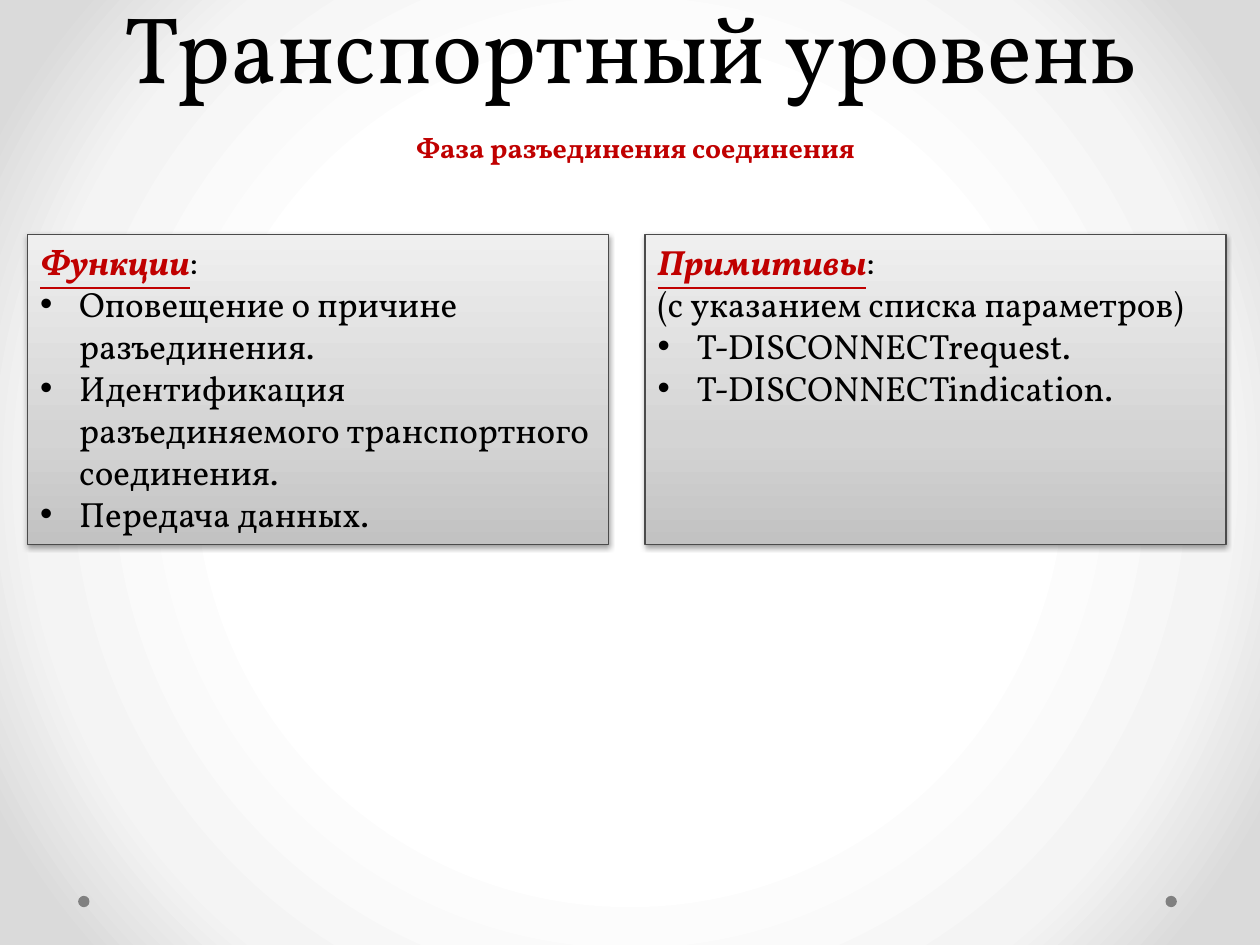
import dataclasses

import lxml.etree
import pptx
import pptx.dml.color
import pptx.enum.shapes
import pptx.enum.text
import pptx.oxml.ns
import pptx.util

RGB = pptx.dml.color.RGBColor
ALIGN = pptx.enum.text.PP_ALIGN
SHAPE = pptx.enum.shapes.MSO_SHAPE
qn = pptx.oxml.ns.qn

BLACK = RGB(0x00, 0x00, 0x00)
RED = RGB(0xC0, 0x00, 0x00)
DOT_GRAY = RGB(0x80, 0x80, 0x80)
EDGE_GRAY = RGB(0x4B, 0x4B, 0x4B)
PAGE_STOPS = ((50, RGB(0xFF, 0xFF, 0xFF)), (76, RGB(0xF4, 0xF4, 0xF4)), (92, RGB(0xDA, 0xDA, 0xDA)))
PANEL_STOPS = ((0, RGB(0xC2, 0xC2, 0xC2)), (35, RGB(0xD4, 0xD4, 0xD4)), (100, RGB(0xEF, 0xEF, 0xEF)))

FONT = "Vollkorn"
WIDTH, HEIGHT = pptx.util.Inches(10), pptx.util.Inches(7.5)
COLUMNS = ROWS = 100
INDENT = pptx.util.Inches(0.31)


@dataclasses.dataclass(frozen=True)
class Area:
    """Place and size in grid columns and rows."""

    col: float
    row: float
    cols: float
    rows: float

    def box(self) -> tuple[int, int, int, int]:
        """Return left, top, width and height as lengths."""
        cw, rh = WIDTH / COLUMNS, HEIGHT / ROWS
        return round(self.col * cw), round(self.row * rh), round(self.cols * cw), round(self.rows * rh)


@dataclasses.dataclass(frozen=True)
class Panel:
    """A gray box with a heading, an optional remark and bullets."""

    col: float
    heading: str
    bullets: tuple[str, ...]
    remark: str = ""


@dataclasses.dataclass(frozen=True)
class Caption:
    """A centred line of text."""

    area: Area
    text: str
    size: int
    color: RGB
    bold: bool = False
    spacing: int | None = None
    anchor: pptx.enum.text.MSO_ANCHOR = pptx.enum.text.MSO_ANCHOR.TOP


CAPTIONS = (
    Caption(Area(5.1, 0, 90, 11.47), "Транспортный уровень", 54, BLACK, spacing=58,
            anchor=pptx.enum.text.MSO_ANCHOR.BOTTOM),
    Caption(Area(2, 13.2, 96.9, 4.93), "Фаза разъединения соединения", 16, RED, bold=True),
)
PANELS = (
    Panel(2.2, "Функции", (
        "Оповещение о причине разъединения.",
        "Идентификация разъединяемого транспортного соединения.",
        "Передача данных.",
    )),
    Panel(51.2, "Примитивы", ("T-DISCONNECTrequest.", "T-DISCONNECTindication."),
          "(с указанием списка параметров)"),
)
DOT_COLUMNS = (6.2, 92.5)


def add_node(parent, tag: str, **attrs):
    """Append an XML child with the given attributes."""
    return lxml.etree.SubElement(parent, qn(tag), {k: str(v) for k, v in attrs.items()})


def set_gradient(props, stops, angle: int | None = None) -> None:
    """Swap a solid fill for a linear gradient, or a circular one without an angle."""
    grad = lxml.etree.Element(qn("a:gradFill"), rotWithShape="1")
    gs_list = add_node(grad, "a:gsLst")
    for share, color in stops:
        add_node(add_node(gs_list, "a:gs", pos=share * 1000), "a:srgbClr", val=color)
    if angle is None:
        circle = add_node(grad, "a:path", path="circle")
        add_node(circle, "a:fillToRect", l=50000, t=50000, r=50000, b=50000)
    else:
        add_node(grad, "a:lin", ang=angle * 60000, scaled=0)
    props.replace(props.find(qn("a:solidFill")), grad)


def set_font(font, size: int, color: RGB) -> None:
    """Apply the slide's typeface with a size and colour."""
    font.name, font.size = FONT, pptx.util.Pt(size)
    font.color.rgb = color


def add_dot(s, col: float) -> None:
    """Draw a small footer dot."""
    sp = s.shapes.add_shape(SHAPE.OVAL, *Area(col, 94.8, 0.9, 1.2).box())
    sp.shadow.inherit = False
    sp.fill.solid()
    sp.fill.fore_color.rgb = DOT_GRAY
    sp.line.fill.background()


def add_caption(s, caption: Caption) -> None:
    """Draw a centred text box."""
    tf = s.shapes.add_textbox(*caption.area.box()).text_frame
    tf.word_wrap, tf.vertical_anchor = True, caption.anchor
    p = tf.paragraphs[0]
    p.text, p.alignment = caption.text, ALIGN.CENTER
    set_font(p.font, caption.size, caption.color)
    p.font.bold = caption.bold
    if caption.spacing:
        p.line_spacing = pptx.util.Pt(caption.spacing)


def add_line(tf, text: str, bullet: bool = False) -> None:
    """Append a body paragraph, with a hanging bullet if asked."""
    p = tf.add_paragraph()
    p.text, p.alignment = text, ALIGN.LEFT
    if bullet:
        props = p._p.get_or_add_pPr()
        props.set("marL", str(INDENT))
        props.set("indent", str(-INDENT))
        add_node(props, "a:buFont", typeface="Arial")
        add_node(props, "a:buChar", char="•")
    set_font(p.font, 20, BLACK)


def add_panel(s, panel: Panel) -> None:
    """Draw a shaded panel with its text."""
    sp = s.shapes.add_shape(SHAPE.RECTANGLE, *Area(panel.col, 24.8, 46.1, 32.8).box())
    sp.fill.solid()
    sp.line.color.rgb, sp.line.width = EDGE_GRAY, pptx.util.Pt(0.75)
    sp.shadow.inherit = False
    props = sp._element.spPr
    set_gradient(props, PANEL_STOPS, 270)
    shadow = add_node(props.find(qn("a:effectLst")), "a:outerShdw", blurRad=pptx.util.Pt(3.1),
                      dist=pptx.util.Pt(1.6), dir=90 * 60000, rotWithShape=0)
    add_node(add_node(shadow, "a:srgbClr", val=BLACK), "a:alpha", val=38000)

    tf = sp.text_frame
    tf.word_wrap, tf.vertical_anchor = True, pptx.enum.text.MSO_ANCHOR.TOP
    p = tf.paragraphs[0]
    p.alignment = ALIGN.LEFT
    for text, color, strong in ((panel.heading, RED, True), (":", BLACK, False)):
        r = p.add_run()
        r.text = text
        set_font(r.font, 20, color)
        r.font.bold = r.font.italic = r.font.underline = strong
    if panel.remark:
        add_line(tf, panel.remark)
    for text in panel.bullets:
        add_line(tf, text, bullet=True)


def main() -> None:
    """Build and save the slide."""
    prs = pptx.Presentation()
    prs.slide_width, prs.slide_height = WIDTH, HEIGHT
    s = prs.slides.add_slide(prs.slide_layouts[6])
    s.background.fill.solid()
    set_gradient(s._element.find(".//" + qn("p:bgPr")), PAGE_STOPS)
    for col in DOT_COLUMNS:
        add_dot(s, col)
    for caption in CAPTIONS:
        add_caption(s, caption)
    for panel in PANELS:
        add_panel(s, panel)
    prs.save("out.pptx")


if __name__ == "__main__":
    main()
